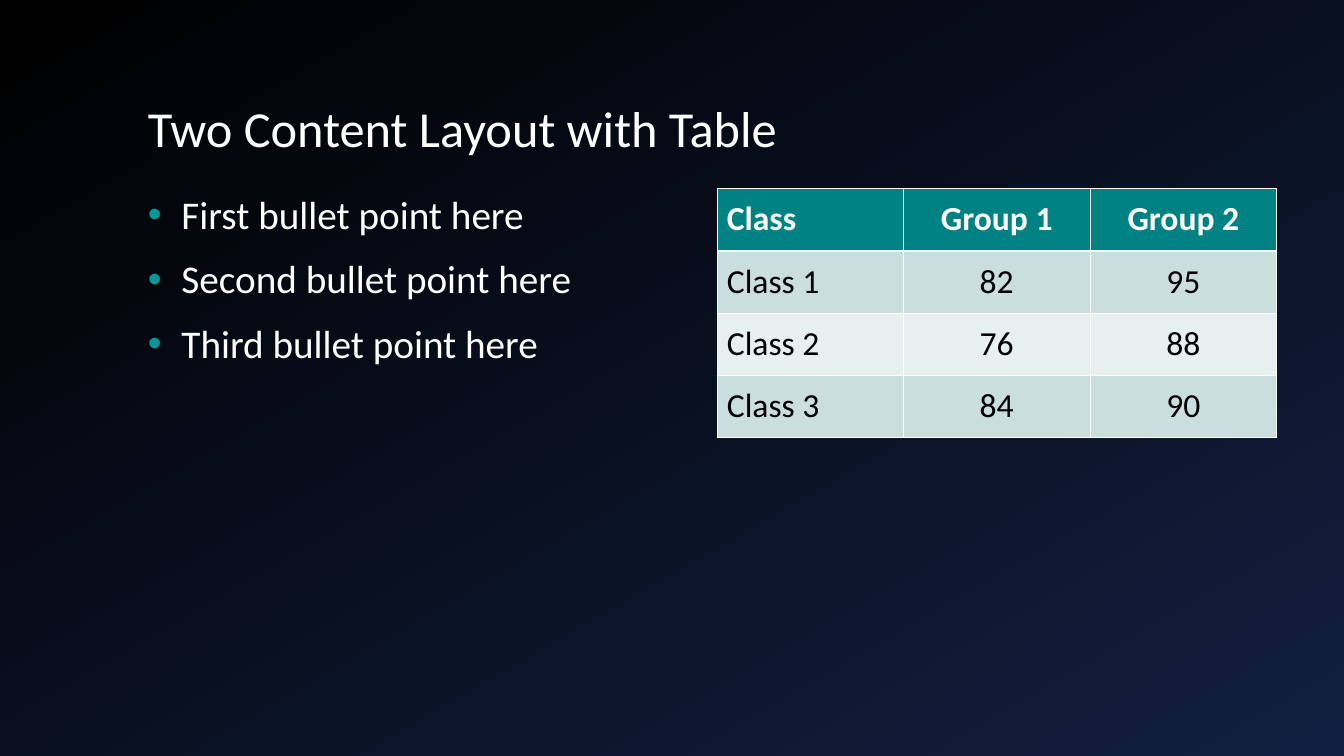
from dataclasses import dataclass

from lxml import etree
from pptx import Presentation
from pptx.dml.color import RGBColor
from pptx.enum import text
from pptx.oxml import ns
from pptx.util import Pt


@dataclass(frozen=True)
class Theme:
    font: str = "Calibri"
    white: str = "FFFFFF"
    black: str = "000000"
    navy: str = "121F40"
    bullet: str = "009999"
    header: str = "008282"
    bands: tuple = ("CBDEDE", "E7EFEF")
    title_size: int = 36
    body_size: int = 28
    table_size: int = 24
    thin: float = 0.45
    thick: float = 1.47


theme = Theme()


def set_font(paragraph, size, color, bold=False):
    font = paragraph.font
    font.name, font.size, font.bold = theme.font, Pt(size), bold
    font.color.rgb = RGBColor.from_string(color)


def place(shape, left, top, width, height, anchor):
    shape.left, shape.top = Pt(left), Pt(top)
    shape.width, shape.height = Pt(width), Pt(height)
    frame = shape.text_frame
    frame.margin_left = frame.margin_right = Pt(9.6)
    frame.margin_top = frame.margin_bottom = Pt(4.8)
    frame.vertical_anchor = anchor
    frame.auto_size = text.MSO_AUTO_SIZE.NONE
    frame.word_wrap = True
    return frame


presentation = Presentation()
presentation.slide_width, presentation.slide_height = Pt(960), Pt(540)
slide = presentation.slides.add_slide(presentation.slide_layouts[1])

# Background
background = slide.background.fill
background.gradient()
background.gradient_angle = 300
for stop, color in zip(background.gradient_stops, (theme.black, theme.navy)):
    stop.color.rgb = RGBColor.from_string(color)

# Title
frame = place(slide.shapes.title, 96, 21.6, 816, 96.5, text.MSO_ANCHOR.BOTTOM)
frame.text = "Two Content Layout with Table"
paragraph = frame.paragraphs[0]
paragraph.alignment = text.PP_ALIGN.LEFT
paragraph.line_spacing = 0.9
set_font(paragraph, theme.title_size, theme.white)

# Bullet list
frame = place(slide.placeholders[1], 96, 134.6, 400, 351.4, text.MSO_ANCHOR.TOP)
frame.text = "\n".join(f"{order} bullet point here" for order in ("First", "Second", "Third"))
for index, paragraph in enumerate(frame.paragraphs):
    paragraph.line_spacing = 0.9
    paragraph.space_before = Pt(16 if index else 0)
    properties = paragraph._p.get_or_add_pPr()
    properties.set("marL", str(Pt(24)))
    properties.set("indent", str(Pt(-24)))
    bullet_color = etree.SubElement(properties, ns.qn("a:buClr"))
    etree.SubElement(bullet_color, ns.qn("a:srgbClr"), val=theme.bullet)
    etree.SubElement(properties, ns.qn("a:buFont"), typeface="Arial")
    etree.SubElement(properties, ns.qn("a:buChar"), char="•")
    set_font(paragraph, theme.body_size, theme.white)

# Table of class results
results = (
    ("Class", "Group 1", "Group 2"),
    ("Class 1", "82", "95"),
    ("Class 2", "76", "88"),
    ("Class 3", "84", "90"),
)
table = slide.shapes.add_table(
    len(results), len(results[0]), Pt(512), Pt(134.6), Pt(400), Pt(178)
).table
table.first_row = table.horz_banding = False
for row_index, values in enumerate(results):
    table.rows[row_index].height = Pt(44.5)
    is_header = row_index == 0
    fill_color = theme.header if is_header else theme.bands[(row_index - 1) % 2]
    thick_side = {0: "lnB", 1: "lnT"}.get(row_index)
    for column_index, value in enumerate(values):
        cell = table.cell(row_index, column_index)
        cell.text = value
        cell.vertical_anchor = text.MSO_ANCHOR.MIDDLE
        cell.margin_left = cell.margin_right = Pt(7.2)
        cell.margin_top = cell.margin_bottom = Pt(3.6)
        paragraph = cell.text_frame.paragraphs[0]
        paragraph.alignment = text.PP_ALIGN.CENTER if column_index else text.PP_ALIGN.LEFT
        set_font(paragraph, theme.table_size, theme.white if is_header else theme.black, is_header)

        # Cell borders come before the fill
        cell_properties = cell._tc.get_or_add_tcPr()
        for side in ("lnL", "lnR", "lnT", "lnB"):
            width = Pt(theme.thick if side == thick_side else theme.thin)
            line = etree.SubElement(cell_properties, ns.qn(f"a:{side}"), w=str(width))
            line_fill = etree.SubElement(line, ns.qn("a:solidFill"))
            etree.SubElement(line_fill, ns.qn("a:srgbClr"), val=theme.white)
        cell.fill.solid()
        cell.fill.fore_color.rgb = RGBColor.from_string(fill_color)

presentation.save("out.pptx")
